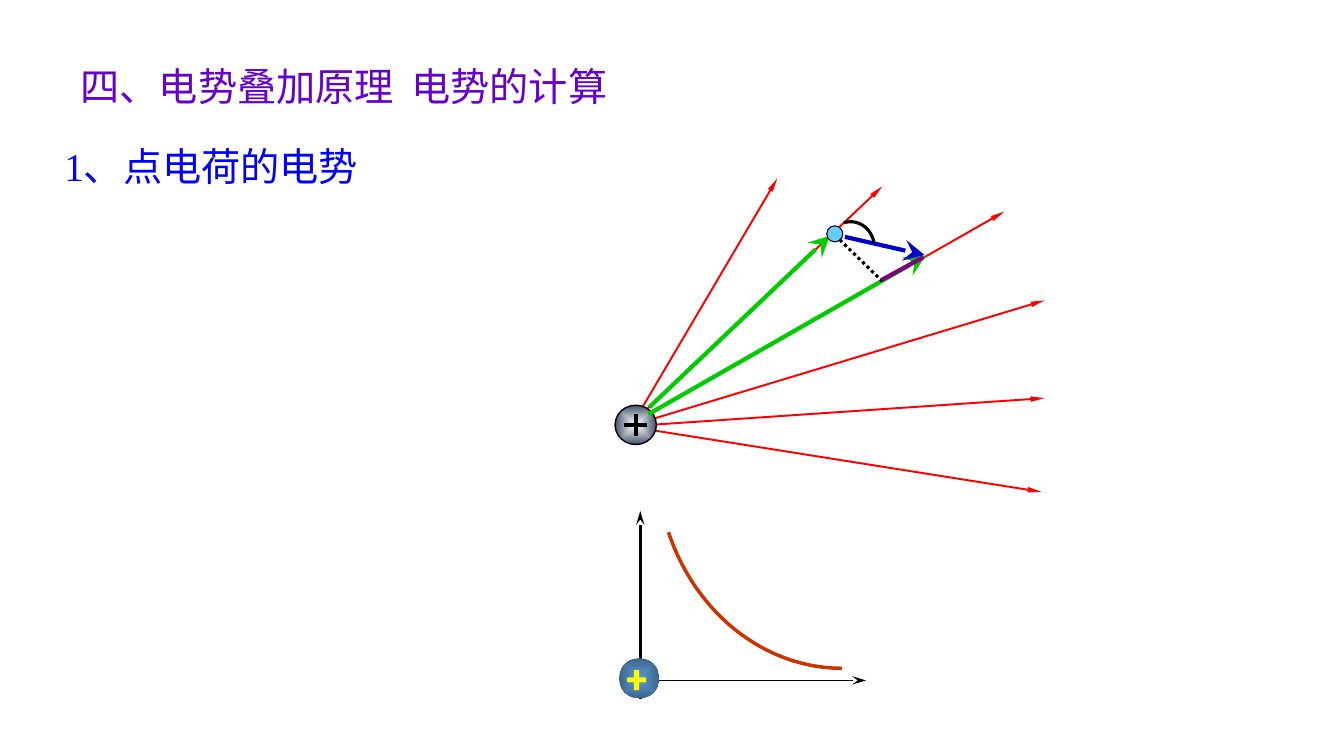
from dataclasses import dataclass

from lxml.etree import SubElement
from pptx import Presentation
from pptx.dml.color import RGBColor as RGB
from pptx.enum.dml import MSO_LINE as Dash
from pptx.enum.shapes import MSO_CONNECTOR as Link, MSO_SHAPE as Shape
from pptx.enum.text import MSO_ANCHOR as Anchor, PP_ALIGN as Align
from pptx.oxml.ns import qn
from pptx.util import Inches, Pt


@dataclass(frozen=True)
class Theme:
    font: str = "Times New Roman"
    sign_font: str = "Roboto Slab"
    size: int = 28
    title: str = "6600CC"
    topic: str = "0000FF"
    ray: str = "FF0000"
    radius: str = "00CC00"
    shift: str = "0000CC"
    rise: str = "800080"
    curve: str = "CC3300"
    ink: str = "000000"
    sign: str = "FFFF00"
    point: str = "66CCFF"
    steel: tuple = ("FFFFFF", "44546A")
    blue: tuple = ("5B9BD5", "3B648A")


THEME = Theme()
# Arrowheads: type, width, length
THIN = ("triangle", "sm", "lg")
WIDE = ("stealth", "lg", "lg")
AXIS = ("stealth", "med", "lg")


def rgb(code):
    return RGB.from_string(code)


def write(box, text, color, font=THEME.font, bold=False, align=Align.LEFT):
    frame = box.text_frame
    frame.text = text
    frame.vertical_anchor = Anchor.TOP
    para = frame.paragraphs[0]
    para.alignment = align
    face = para.runs[0].font
    face.name, face.size, face.bold = font, Pt(THEME.size), bold
    face.color.rgb = rgb(color)
    return frame


def place(box, left, top, width, height):
    box.left, box.top = Inches(left), Inches(top)
    box.width, box.height = Inches(width), Inches(height)


def label(slide, area, text, color, wrap=True, **style):
    box = slide.shapes.add_textbox(*map(Inches, area))
    write(box, text, color, **style).word_wrap = wrap


def line(slide, start, end, color, width, head=None, dash=None):
    link = slide.shapes.add_connector(
        Link.STRAIGHT, *map(Inches, (*start, *end)))
    link.line.color.rgb = rgb(color)
    link.line.width = Pt(width)
    if dash:
        link.line.dash_style = dash
    if head:
        kind, wide, long = head
        SubElement(link.line._get_or_add_ln(), qn("a:tailEnd"),
                   type=kind, w=wide, len=long)
    SubElement(link._element.spPr, qn("a:effectLst"))


def disc(slide, area, fill, edge=None):
    """Draw an ellipse; a pair of fill colours runs from centre to rim."""
    ball = slide.shapes.add_shape(Shape.OVAL, *map(Inches, area))
    ball.shadow.inherit = False
    if isinstance(fill, tuple):
        ball.fill.gradient()
        for stop, color in zip(ball.fill.gradient_stops, fill):
            stop.color.rgb = rgb(color)
        grad = ball._element.spPr.find(qn("a:gradFill"))
        grad.remove(grad.find(qn("a:lin")))
        radial = SubElement(grad, qn("a:path"), path="shape")
        SubElement(radial, qn("a:fillToRect"),
                   l="50000", t="50000", r="50000", b="50000")
    else:
        ball.fill.solid()
        ball.fill.fore_color.rgb = rgb(fill)
    if edge:
        ball.line.color.rgb = rgb(THEME.ink)
        ball.line.width = Pt(edge)
    else:
        ball.line.fill.background()


def bend(slide, knots, color, width, steps=32):
    """Draw an open cubic Bezier curve through fine straight steps."""
    dots = []
    for i in range(steps + 1):
        t = i / steps
        parts = ((1 - t) ** 3, 3 * t * (1 - t) ** 2,
                 3 * t * t * (1 - t), t ** 3)
        dots.append(tuple(
            Inches(sum(p * k[axis] for p, k in zip(parts, knots)))
            for axis in (0, 1)))
    pen = slide.shapes.build_freeform(*dots[0])
    pen.add_line_segments(dots[1:], close=False)
    arc = pen.convert_to_shape()
    arc.shadow.inherit = False
    arc.fill.background()
    arc.line.color.rgb = rgb(color)
    arc.line.width = Pt(width)


def draw_field(slide):
    hub = (6.23, 4.23)
    rays = (
        ((6.31, 4.16), (8.75, 1.85)),
        (hub, (9.96, 2.1)),
        (hub, (10.36, 2.98)),
        (hub, (10.33, 4.88)),
        (hub, (10.36, 3.95)),
        ((6.26, 4.23), (7.71, 1.77)),
    )
    for start, end in rays:
        line(slide, start, end, THEME.ray, 1.4, THIN)
    disc(slide, (6.1, 4.02, 0.41, 0.39), THEME.steel, 1)
    line(slide, (6.19, 4.22), (6.42, 4.22), THEME.ink, 3)
    line(slide, (6.31, 4.33), (6.31, 4.11), THEME.ink, 3)


def draw_path(slide):
    line(slide, (6.44, 4.04), (8.23, 2.34), THEME.radius, 3, WIDE)
    line(slide, (6.43, 4.11), (9.18, 2.54), THEME.radius, 3, WIDE)
    disc(slide, (8.2, 2.24, 0.16, 0.16), THEME.point, 0.75)
    line(slide, (8.38, 2.35), (9.17, 2.53), THEME.shift, 3, WIDE)
    bend(slide, ((8.37, 2.21), (8.51, 2.17), (8.64, 2.26), (8.67, 2.41)),
         THEME.ink, 2.25)
    line(slide, (8.33, 2.38), (8.75, 2.79), THEME.ink, 2.25,
         dash=Dash.ROUND_DOT)
    line(slide, (8.74, 2.78), (9.16, 2.55), THEME.rise, 3)


def draw_graph(slide):
    line(slide, (6.35, 6.93), (6.35, 5.07), THEME.ink, 2, AXIS)
    line(slide, (6.35, 6.75), (8.59, 6.75), THEME.ink, 1, AXIS)
    disc(slide, (6.14, 6.53, 0.4, 0.4), THEME.blue)
    label(slide, (6.12, 6.44, 0.43, 0.57), "+", THEME.sign, wrap=False,
          font=THEME.sign_font, bold=True)
    bend(slide, ((8.35, 6.63), (7.59, 6.63), (6.9, 6.09), (6.63, 5.28)),
         THEME.curve, 2.5)


def main():
    deck = Presentation()
    deck.slide_width, deck.slide_height = Inches(13.33), Inches(7.5)
    slide = deck.slides.add_slide(deck.slide_layouts[5])
    title = slide.shapes.title
    place(title, 0.7, 0.57, 6.5, 0.57)
    write(title, "四、电势叠加原理  电势的计算", THEME.title,
          align=Align.JUSTIFY)
    label(slide, (0.54, 1.36, 3.93, 0.57), "1、点电荷的电势", THEME.topic)
    draw_field(slide)
    draw_path(slide)
    draw_graph(slide)
    deck.save("out.pptx")


if __name__ == "__main__":
    main()
